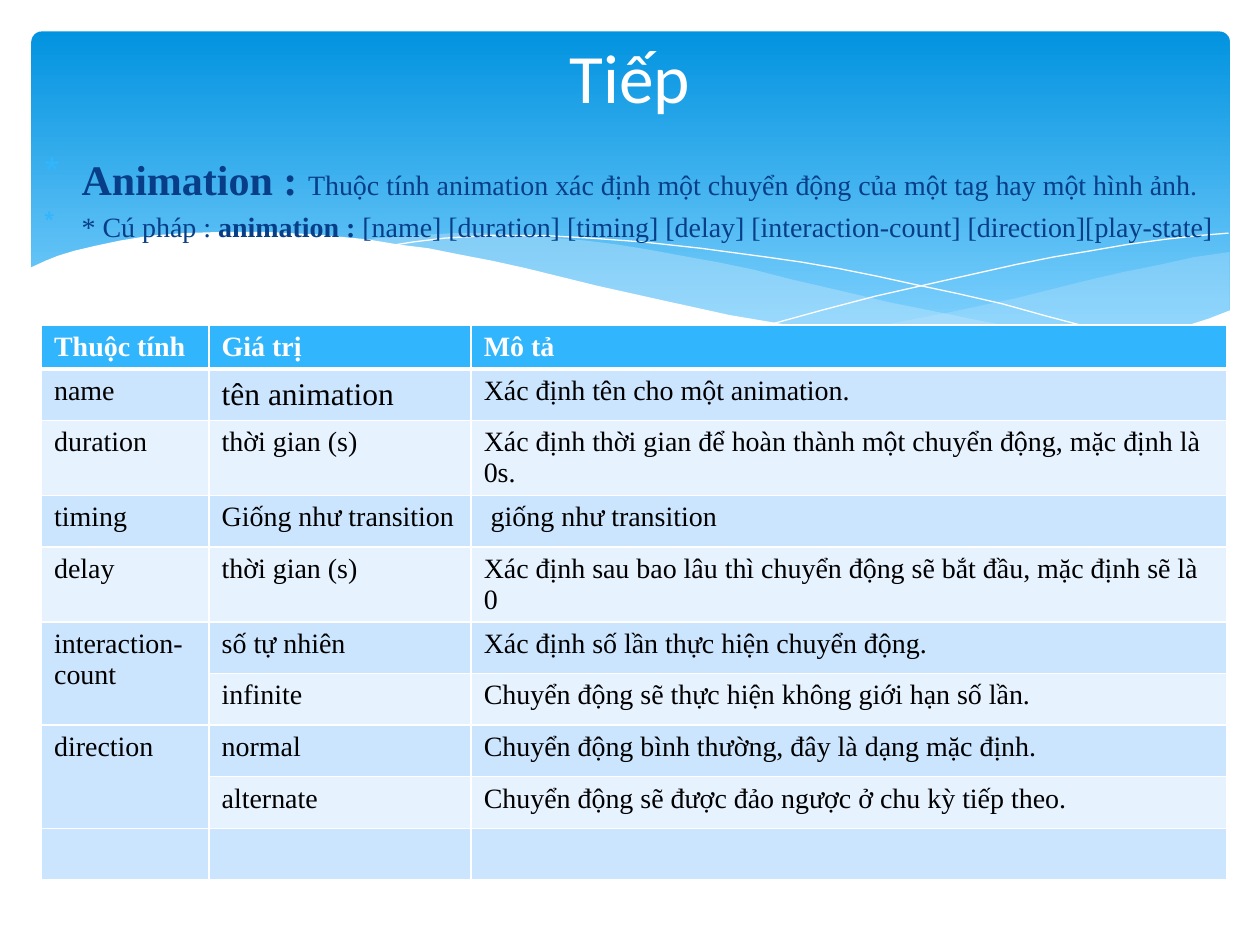
import pptx
import pptx.dml.color
import pptx.enum.dml
import pptx.enum.shapes
import pptx.enum.text
import pptx.oxml
import pptx.oxml.ns
import pptx.util
from lxml import etree

Inches = pptx.util.Inches
Pt = pptx.util.Pt
qn = pptx.oxml.ns.qn

COLORS = {
    "white": "FFFFFF", "black": "000000", "navy": "073E87", "accent": "31B6FD",
    "sky_top": "0293E0", "sky_bottom": "81D2FE", "mist": "C6E7FC",
    "band_dark": "CCE5FE", "band_light": "E7F2FF",
}

RIGHT_WAVE = [
    (9.76, 2), (9.48, 2.04), (9.21, 2.1), (8.91, 2.16), (8.61, 2.23), (8.05, 2.37),
    (7.53, 2.48), (7.06, 2.57), (6.61, 2.65), (6.91, 2.69), (7.19, 2.72), (7.45, 2.75),
    (7.69, 2.77), (8.03, 2.78), (8.35, 2.77), (8.63, 2.75), (8.89, 2.72), (9.13, 2.67),
    (9.35, 2.62), (9.49, 2.57), (9.76, 2.47),
]
MIDDLE_WAVE = [
    (8.93, 2.73), (8.66, 2.69), (8.37, 2.65), (8.07, 2.6), (7.75, 2.54), (7.41, 2.47),
    (7.06, 2.4), (6.68, 2.31), (6.29, 2.22), (5.98, 2.14), (5.69, 2.08), (5.41, 2.03),
    (5.14, 1.98), (4.89, 1.94), (4.65, 1.91), (4.42, 1.89), (4.2, 1.87), (3.99, 1.86),
    (3.8, 1.85), (3.61, 1.85), (3.28, 1.87), (2.99, 1.89), (2.86, 1.91), (3.23, 1.96),
    (3.62, 2.03), (4.04, 2.11), (4.49, 2.22), (4.91, 2.32), (5.3, 2.4), (5.66, 2.48),
    (6.01, 2.55), (6.34, 2.61), (6.65, 2.66), (6.95, 2.7), (7.22, 2.74), (7.48, 2.76),
    (7.85, 2.78), (8.38, 2.78), (8.67, 2.76),
]
FALLING_LINE = [
    (3.09, 1.95), (3.28, 1.92), (3.53, 1.89), (3.87, 1.87), (4.33, 1.87), (4.69, 1.89),
    (5.1, 1.92), (5.56, 1.97), (6.08, 2.04), (6.36, 2.08), (6.65, 2.13), (6.95, 2.19),
    (7.27, 2.26), (7.6, 2.33), (7.95, 2.41), (8.31, 2.51), (8.69, 2.61), (9.07, 2.72),
]
RISING_LINE = [
    (6.13, 2.57), (6.53, 2.46), (6.95, 2.35), (7.48, 2.23), (8.06, 2.1), (8.36, 2.04),
    (8.66, 1.99), (8.95, 1.94), (9.24, 1.9), (9.51, 1.87), (9.75, 1.85),
]
WHITE_WAVE = [
    (9.77, 2.46), (9.59, 2.53), (9.4, 2.59), (9.2, 2.65), (8.99, 2.69), (8.75, 2.73),
    (8.5, 2.75), (8.09, 2.77), (7.78, 2.76), (7.44, 2.74), (7.08, 2.7), (6.68, 2.65),
    (6.26, 2.58), (5.79, 2.5), (5.29, 2.39), (4.75, 2.27), (4.18, 2.13), (3.91, 2.07),
    (3.65, 2.02), (3.4, 1.97), (3.16, 1.94), (2.92, 1.9), (2.71, 1.88), (2.5, 1.86),
    (2.3, 1.85), (2.11, 1.84), (1.77, 1.84), (1.46, 1.85), (1.19, 1.87), (0.95, 1.91),
    (0.76, 1.95), (0.59, 1.99), (0.46, 2.03), (0.36, 2.07), (0.23, 2.13),
    (0.23, 3.29), (9.77, 3.29),
]

HEADERS = ["Thuộc tính", "Giá trị", "Mô tả"]
ROWS = [
    ["name", "tên animation", "Xác định tên cho một animation."],
    ["duration", "thời gian (s)",
     "Xác định thời gian để hoàn thành một chuyển động, mặc định là 0s."],
    ["timing", "Giống như transition", " giống như transition"],
    ["delay", "thời gian (s)",
     "Xác định sau bao lâu thì chuyển động sẽ bắt đầu, mặc định sẽ là 0"],
    ["interaction-count", "số tự nhiên", "Xác định số lần thực hiện chuyển động."],
    ["", "infinite", "Chuyển động sẽ thực hiện không giới hạn số lần."],
    ["direction", "normal", "Chuyển động bình thường, đây là dạng mặc định."],
    ["", "alternate", "Chuyển động sẽ được đảo ngược ở chu kỳ tiếp theo."],
    ["", "", ""],
]
MERGED_ROWS = [(5, 6), (7, 8)]


def rgb(name):
    return pptx.dml.color.RGBColor.from_string(COLORS[name])


class SlideBuilder:
    font = "Times New Roman"
    size = 16

    def __init__(self, page):
        self.page = page

    def span(self, para, text, color, size=None, bold=False, font=None):
        span = para.add_run()
        span.text = text
        span.font.name = font or self.font
        span.font.size = Pt(size or self.size)
        span.font.bold = bold
        span.font.color.rgb = rgb(color)

    def banner(self, left, top, width, height):
        box = self.page.shapes.add_shape(
            pptx.enum.shapes.MSO_SHAPE.ROUNDED_RECTANGLE,
            Inches(left), Inches(top), Inches(width), Inches(height))
        box.adjustments[0] = 0.03
        box.shadow.inherit = False
        box.line.fill.background()
        box.fill.gradient()
        box.fill.gradient_angle = 270
        stops = zip(box.fill.gradient_stops, [(0, "sky_top"), (0.9, "sky_bottom")])
        for stop, (position, color) in stops:
            stop.position = position
            stop.color.rgb = rgb(color)

    def curve(self, points, fill=None, opacity=100, line=None):
        """Draw a closed filled wave, or an open stroke when no fill is given."""
        spots = [(Inches(x), Inches(y)) for x, y in points]
        builder = self.page.shapes.build_freeform(*spots[0])
        builder.add_line_segments(spots[1:], close=fill is not None)
        shape = builder.convert_to_shape()
        shape.shadow.inherit = False
        if fill:
            shape.fill.solid()
            shape.fill.fore_color.rgb = rgb(fill)
            if opacity < 100:
                tint = shape.fill._xPr.find(".//" + qn("a:srgbClr"))
                etree.SubElement(tint, qn("a:alpha")).set("val", str(opacity * 1000))
        else:
            shape.fill.background()
        if line:
            shape.line.color.rgb = rgb(line)
            shape.line.width = Pt(0.75)
        else:
            shape.line.fill.background()

    def title(self, text, left, top, width, height):
        box = self.page.shapes.title
        self.page.shapes._spTree.append(box._element)  # in front of the banner
        box.left, box.top = Inches(left), Inches(top)
        box.width, box.height = Inches(width), Inches(height)
        box.text_frame.auto_size = pptx.enum.text.MSO_AUTO_SIZE.NONE
        box.text_frame.vertical_anchor = pptx.enum.text.MSO_ANCHOR.MIDDLE
        para = box.text_frame.paragraphs[0]
        para.alignment = pptx.enum.text.PP_ALIGN.CENTER
        self.span(para, text, "white", size=39.6, font="Calibri")

    def bullets(self, items, left, top, width, height):
        """Each item is a list of (text, size, bold) spans."""
        box = self.page.shapes.add_textbox(
            Inches(left), Inches(top), Inches(width), Inches(height))
        frame = box.text_frame
        frame.word_wrap = True
        for index, spans in enumerate(items):
            para = frame.add_paragraph() if index else frame.paragraphs[0]
            para.space_before = Pt(3.2 if index else 0)
            for text, size, bold in spans:
                self.span(para, text, "navy", size, bold)
            props = para._p.get_or_add_pPr()
            props.set("marL", str(Inches(0.3)))
            props.set("indent", str(Inches(-0.3)))
            tint = etree.SubElement(props, qn("a:buClr"))
            etree.SubElement(tint, qn("a:srgbClr")).set("val", COLORS["accent"])
            etree.SubElement(props, qn("a:buChar")).set("char", "*")

    def borders(self, cell, top=1, bottom=1):
        props = cell._tc.get_or_add_tcPr()
        for side, width in (("L", 1), ("R", 1), ("T", top), ("B", bottom)):
            edge = etree.SubElement(props, qn("a:ln" + side), w=str(Pt(width)))
            fill = etree.SubElement(edge, qn("a:solidFill"))
            etree.SubElement(fill, qn("a:srgbClr")).set("val", COLORS["white"])

    def table(self, rows, left, top, widths, heights):
        table = self.page.shapes.add_table(
            len(rows), len(widths), Inches(left), Inches(top),
            Inches(sum(widths)), Inches(sum(heights))).table
        for column, width in zip(table.columns, widths):
            column.width = Inches(width)
        for r, (texts, height) in enumerate(zip(rows, heights)):
            table.rows[r].height = Inches(height)
            band = "band_dark" if r % 2 else "band_light"
            for c, text in enumerate(texts):
                cell = table.cell(r, c)
                self.borders(cell, top=3 if r == 1 else 1, bottom=1 if r else 3)
                cell.fill.solid()
                cell.fill.fore_color.rgb = rgb(band if r else "accent")
                if text:
                    emphasis = (r, c) == (1, 1)
                    self.span(cell.text_frame.paragraphs[0], text,
                              "black" if r else "white", 18 if emphasis else 16, r == 0)
                    if emphasis:
                        cell.vertical_anchor = pptx.enum.text.MSO_ANCHOR.MIDDLE
                        cell.margin_top = cell.margin_bottom = Inches(0.03)
        for first, last in MERGED_ROWS:
            table.cell(first, 0).merge(table.cell(last, 0))


def main():
    deck = pptx.Presentation()
    deck.slide_width, deck.slide_height = Inches(10), Inches(7.5)
    slide = SlideBuilder(deck.slides.add_slide(deck.slide_layouts[5]))
    slide.banner(0.25, 0.25, 9.51, 2.7)
    slide.curve(RIGHT_WAVE, fill="mist", opacity=29)
    slide.curve(MIDDLE_WAVE, fill="mist", opacity=40)
    slide.curve(FALLING_LINE, line="white")
    slide.curve(RISING_LINE, line="white")
    slide.curve(WHITE_WAVE, fill="white")
    slide.bullets([
        [("Animation : ", 24, True),
         ("Thuộc tính animation xác định một chuyển động của một tag hay một hình ảnh.",
          16, False)],
        [("* Cú pháp : ", 16, False), ("animation : ", 16, True),
         ("[name] [duration] [timing] [delay] [interaction-count] [direction][play-state]",
          16, False)],
    ], 0.25, 1.17, 9.5, 5.53)
    slide.title("Tiếp", 0.5, 0.37, 9, 0.46)
    slide.table([HEADERS] + ROWS, 0.33, 2.58, [1.33, 2.08, 6], [0.32] + [0.41] * len(ROWS))
    deck.save("out.pptx")


if __name__ == "__main__":
    main()
